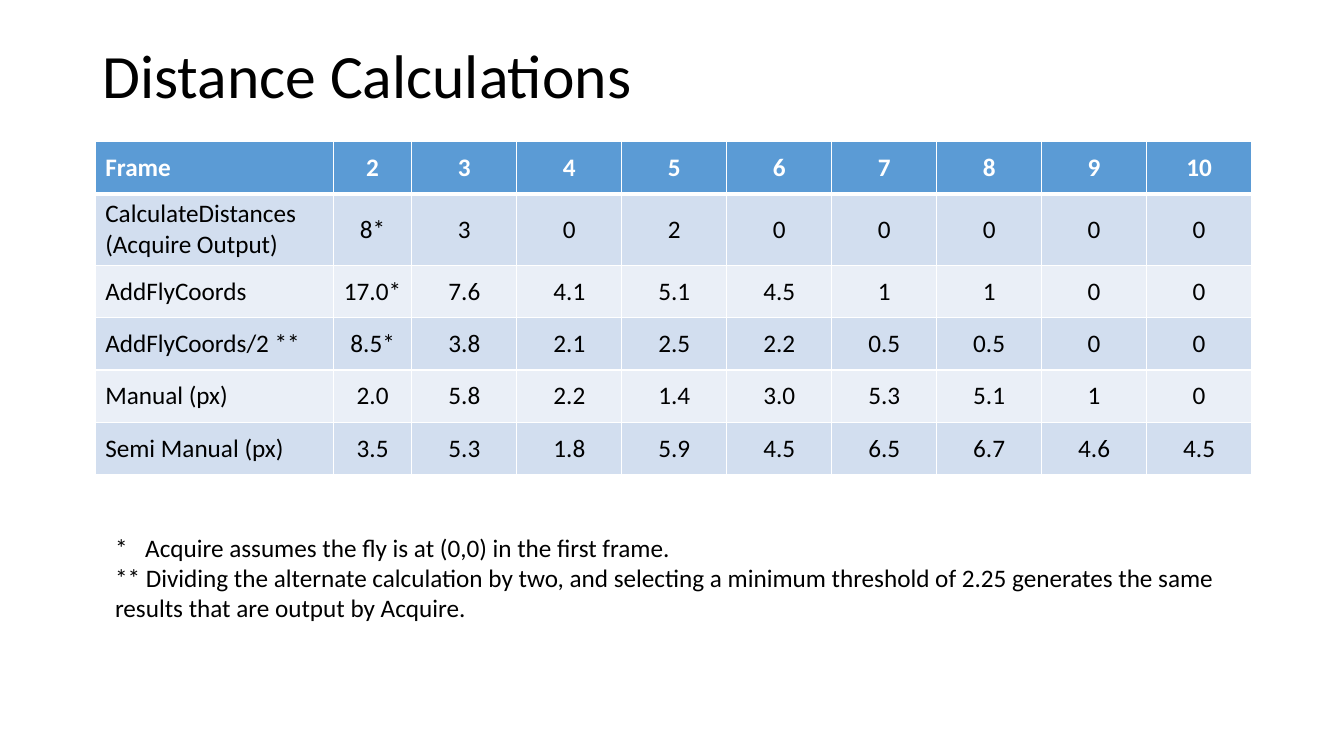
from dataclasses import dataclass

from lxml.etree import SubElement
from pptx import Presentation
from pptx.dml.color import RGBColor
from pptx.enum.text import MSO_ANCHOR, MSO_AUTO_SIZE, PP_ALIGN
from pptx.oxml.ns import qn
from pptx.util import Cm, Pt


@dataclass(frozen=True)
class Theme:
    font: str = "Calibri"
    ink: str = "000000"
    paper: str = "FFFFFF"
    header: str = "5B9BD5"
    bands: tuple = ("D2DEEF", "EAEFF7")
    title_size: int = 44
    body_size: int = 18
    thin_line: int = 1
    thick_line: int = 3


@dataclass(frozen=True)
class Box:
    left: float
    top: float
    width: float
    height: float

    def lengths(self):
        return [Cm(value) for value in (self.left, self.top, self.width, self.height)]


THEME = Theme()
TITLE = "Distance Calculations"
DISTANCES = [
    ["Frame", "2", "3", "4", "5", "6", "7", "8", "9", "10"],
    ["CalculateDistances (Acquire Output)", "8*", "3", "0", "2", "0", "0", "0", "0", "0"],
    ["AddFlyCoords", "17.0*", "7.6", "4.1", "5.1", "4.5", "1", "1", "0", "0"],
    ["AddFlyCoords/2 **", "8.5*", "3.8", "2.1", "2.5", "2.2", "0.5", "0.5", "0", "0"],
    ["Manual (px)", "2.0", "5.8", "2.2", "1.4", "3.0", "5.3", "5.1", "1", "0"],
    ["Semi Manual (px)", "3.5", "5.3", "1.8", "5.9", "4.5", "6.5", "6.7", "4.6", "4.5"],
]
FOOTNOTES = [
    "*\tAcquire assumes the fly is at (0,0) in the first frame.",
    "** Dividing the alternate calculation by two, and selecting a minimum threshold "
    "of 2.25 generates the same results that are output by Acquire.",
]


def write(paragraph, text, size=THEME.body_size, color=THEME.ink, bold=False,
          align=PP_ALIGN.LEFT, spacing=1.0):
    paragraph.alignment = align
    paragraph.line_spacing = spacing
    span = paragraph.add_run()
    span.text = text
    span.font.name = THEME.font
    span.font.size = Pt(size)
    span.font.bold = bold
    span.font.color.rgb = RGBColor.from_string(color)


def add_tab_stop(paragraph, position):
    stops = SubElement(paragraph._p.get_or_add_pPr(), qn("a:tabLst"))
    SubElement(stops, qn("a:tab"), pos=str(Cm(position)), algn="l")


def set_borders(cell, top, bottom):
    properties = cell._tc.get_or_add_tcPr()
    widths = {"L": THEME.thin_line, "R": THEME.thin_line, "T": top, "B": bottom}
    for side, width in widths.items():
        line = SubElement(properties, qn(f"a:ln{side}"), w=str(Pt(width)))
        fill = SubElement(line, qn("a:solidFill"))
        SubElement(fill, qn("a:srgbClr"), val=THEME.paper)


def place_title(page, box):
    title = page.shapes.title
    title.left, title.top, title.width, title.height = box.lengths()
    frame = title.text_frame
    frame.auto_size = MSO_AUTO_SIZE.NONE
    frame.vertical_anchor = MSO_ANCHOR.MIDDLE
    write(frame.paragraphs[0], TITLE, size=THEME.title_size, spacing=0.9)


def place_distances(page, box, label_width=6, first_width=1.98):
    row_count, column_count = len(DISTANCES), len(DISTANCES[0])
    table = page.shapes.add_table(row_count, column_count, *box.lengths()).table
    other_width = (box.width - label_width - first_width) / (column_count - 2)
    widths = [label_width, first_width] + [other_width] * (column_count - 2)
    for column, width in zip(table.columns, widths):
        column.width = Cm(width)
    for row_index, values in enumerate(DISTANCES):
        is_header = row_index == 0
        fill = THEME.header if is_header else THEME.bands[(row_index - 1) % 2]
        for column_index, value in enumerate(values):
            cell = table.cell(row_index, column_index)
            set_borders(
                cell,
                top=THEME.thick_line if row_index == 1 else THEME.thin_line,
                bottom=THEME.thick_line if is_header else THEME.thin_line,
            )
            cell.fill.solid()
            cell.fill.fore_color.rgb = RGBColor.from_string(fill)
            cell.vertical_anchor = MSO_ANCHOR.MIDDLE
            write(
                cell.text_frame.paragraphs[0], value,
                color=THEME.paper if is_header else THEME.ink,
                bold=is_header,
                align=PP_ALIGN.CENTER if column_index else PP_ALIGN.LEFT,
            )


def place_footnotes(page, box):
    frame = page.shapes.add_textbox(*box.lengths()).text_frame
    frame.word_wrap = True
    frame.auto_size = MSO_AUTO_SIZE.SHAPE_TO_FIT_TEXT
    for index, note in enumerate(FOOTNOTES):
        paragraph = frame.add_paragraph() if index else frame.paragraphs[0]
        write(paragraph, note)
        if "\t" in note:
            add_tab_stop(paragraph, 0.76)


def build_deck():
    deck = Presentation()
    deck.slide_width, deck.slide_height = Cm(33.87), Cm(19.05)
    page = deck.slides.add_slide(deck.slide_layouts.get_by_name("Title Only"))
    page.background.fill.solid()
    page.background.fill.fore_color.rgb = RGBColor.from_string(THEME.paper)
    place_title(page, Box(2.33, 0.15, 29.21, 3.68))
    place_distances(page, Box(2.4, 3.56, 29.14, 7.92))
    place_footnotes(page, Box(2.65, 13.28, 28.9, 2.57))
    return deck


build_deck().save("out.pptx")
